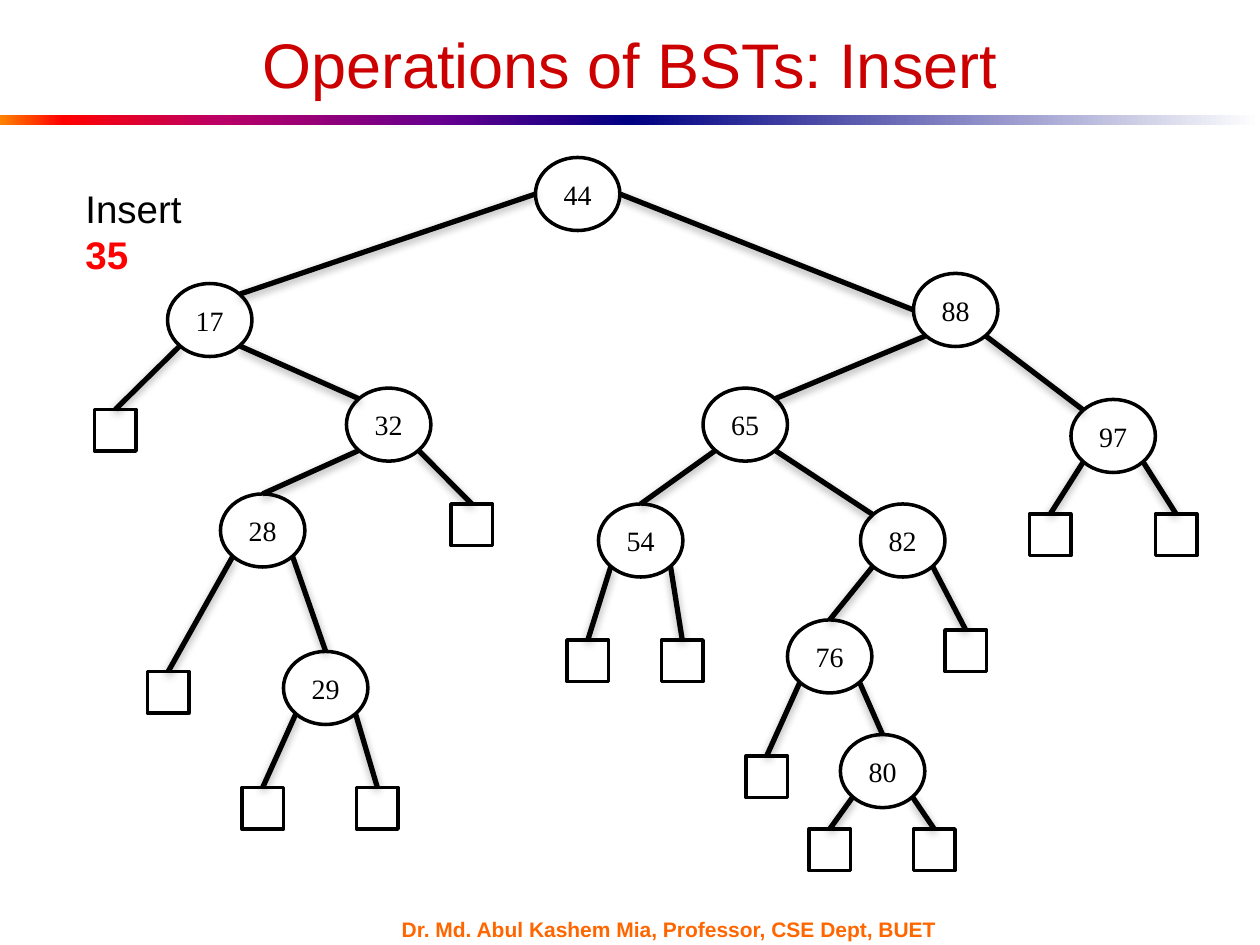
"""Build a slide showing a binary search tree before inserting a key."""
from math import sqrt

from lxml import etree
from pptx import Presentation
from pptx.dml.color import RGBColor
from pptx.enum.shapes import MSO_CONNECTOR, MSO_SHAPE
from pptx.enum.text import MSO_ANCHOR, PP_ALIGN
from pptx.oxml.ns import qn
from pptx.util import Inches, Pt

STRAIGHT = MSO_CONNECTOR.STRAIGHT
OVAL, RECTANGLE = MSO_SHAPE.OVAL, MSO_SHAPE.RECTANGLE
TOP, MIDDLE = MSO_ANCHOR.TOP, MSO_ANCHOR.MIDDLE
LEFT, CENTER = PP_ALIGN.LEFT, PP_ALIGN.CENTER

COLORS = {
    "black": "000000", "white": "FFFFFF", "title": "CC0000",
    "key": "FF0000", "footer": "FF6600",
}
BARS = [
    (0, [(0, "FF8200"), (10, "FF0000"), (35, "BA0066"), (70, "66008F"), (100, "000082")]),
    (5, [(0, "000082"), (100, "FFFFFF")]),
]
TEXTS = [
    ((3.09, 7.28, 4.67, 0.18), MIDDLE, LEFT, 12,
     [("Dr. Md. Abul Kashem Mia, Professor, CSE Dept, BUET", "footer", True)]),
    ((0.58, 1.42, 1.32, 0.47), TOP, LEFT, 22,
     [("Insert ", "black", False), ("35", "key", True)]),
    ((0.5, 0.25, 9, 0.51), MIDDLE, CENTER, 36,
     [("Operations of BSTs: Insert", "title", False)]),
]
NODES = {
    "44": (4.25, 1.25), "17": (1.33, 2.25), "32": (2.75, 3.08),
    "28": (1.75, 3.92), "29": (2.25, 5.17), "88": (7.25, 2.17),
    "65": (5.58, 3.08), "97": (8.5, 3.17), "54": (4.75, 4),
    "82": (6.83, 4), "76": (6.25, 4.92), "80": (6.67, 5.83),
}
BRANCHES = [
    ("44", "left", "17", "top right"), ("17", "bottom right", "32", "top left"),
    ("32", "bottom left", "28", "top"), ("28", "bottom right", "29", "top"),
    ("44", "right", "88", "left"), ("88", "bottom left", "65", "top right"),
    ("88", "bottom right", "97", "top left"), ("65", "bottom right", "82", "top left"),
    ("65", "bottom left", "54", "top"), ("82", "bottom left", "76", "top"),
    ("76", "bottom right", "80", "top"),
]
LEAVES = [
    ("17", "bottom left", 0.75, 3.25), ("32", "bottom right", 3.58, 4),
    ("28", "bottom left", 1.17, 5.33), ("29", "bottom left", 1.92, 6.25),
    ("29", "bottom right", 2.83, 6.25), ("54", "bottom left", 4.5, 5.08),
    ("54", "bottom right", 5.25, 5.08), ("97", "bottom left", 8.17, 4.08),
    ("97", "bottom right", 9.17, 4.08), ("76", "bottom left", 5.92, 6),
    ("82", "bottom right", 7.5, 5), ("80", "bottom left", 6.42, 6.58),
    ("80", "bottom right", 7.25, 6.58),
]
NODE_SIZE = (0.67, 0.58)
LEAF_SIZE = (0.33, 0.33)
DIRECTIONS = {"left": (-1, 0), "right": (1, 0), "top": (0, -1), "bottom": (0, 1)}


def rgb(name):
    return RGBColor.from_string(COLORS[name])


def add_run(paragraph, text, size, font, color, bold=False):
    run = paragraph.add_run()
    run.text = text
    run.font.size = Pt(size)
    run.font.name = font
    run.font.bold = bold
    run.font.color.rgb = rgb(color)


def add_bar(slide, left, stops):
    shape = slide.shapes.add_shape(
        RECTANGLE, Inches(left), Inches(0.91), Inches(5), Inches(0.08))
    shape.shadow.inherit = False
    shape.line.fill.background()
    shape.fill.gradient()
    shape.fill.gradient_angle = 0
    stop_list = shape._element.spPr.find(qn("a:gradFill")).find(qn("a:gsLst"))
    for stop in list(stop_list):
        stop_list.remove(stop)
    for position, color in stops:
        stop = etree.SubElement(stop_list, qn("a:gs"), pos=str(position * 1000))
        etree.SubElement(stop, qn("a:srgbClr"), val=color)


def add_text(slide, box, anchor, alignment, size, runs):
    frame = slide.shapes.add_textbox(*map(Inches, box)).text_frame
    frame.word_wrap = True
    frame.vertical_anchor = anchor
    paragraph = frame.paragraphs[0]
    paragraph.alignment = alignment
    for text, color, bold in runs:
        add_run(paragraph, text, size, "Arial", color, bold)


def add_outlined(slide, kind, position, size):
    shape = slide.shapes.add_shape(kind, *map(Inches, position + size))
    shape.shadow.inherit = False
    shape.fill.solid()
    shape.fill.fore_color.rgb = rgb("white")
    shape.line.color.rgb = rgb("black")
    shape.line.width = Pt(2)
    return shape


def add_node(slide, label, position):
    shape = add_outlined(slide, OVAL, position, NODE_SIZE)
    shape.text_frame.vertical_anchor = MIDDLE
    paragraph = shape.text_frame.paragraphs[0]
    paragraph.alignment = CENTER
    add_run(paragraph, label, 16, "Times New Roman", "black")
    return shape


def edge_point(shape, spot):
    parts = [DIRECTIONS[word] for word in spot.split()]
    across, down = (sum(axis) / sqrt(len(parts)) for axis in zip(*parts))
    return (round(shape.left + shape.width / 2 * (1 + across)),
            round(shape.top + shape.height / 2 * (1 + down)))


def add_branch(slide, parent, parent_spot, child, child_spot):
    line = slide.shapes.add_connector(
        STRAIGHT, *edge_point(parent, parent_spot), *edge_point(child, child_spot))
    line.line.color.rgb = rgb("black")
    line.line.width = Pt(3)
    effects = etree.SubElement(line._element.spPr, qn("a:effectLst"))
    shadow = etree.SubElement(
        effects, qn("a:outerShdw"), blurRad=str(Pt(5)), dist=str(Pt(1.8)),
        dir="5400000", rotWithShape="0")
    color = etree.SubElement(shadow, qn("a:srgbClr"), val=COLORS["black"])
    etree.SubElement(color, qn("a:alpha"), val="35000")
    if child_spot == "top":
        line.end_connect(child, 0)


def main():
    presentation = Presentation()
    presentation.slide_width, presentation.slide_height = Inches(10), Inches(7.5)
    slide = presentation.slides.add_slide(presentation.slide_layouts[6])
    for left, stops in BARS:
        add_bar(slide, left, stops)
    nodes = {label: add_node(slide, label, position) for label, position in NODES.items()}
    for parent, parent_spot, child, child_spot in BRANCHES:
        add_branch(slide, nodes[parent], parent_spot, nodes[child], child_spot)
    for parent, parent_spot, left, top in LEAVES:
        leaf = add_outlined(slide, RECTANGLE, (left, top), LEAF_SIZE)
        add_branch(slide, nodes[parent], parent_spot, leaf, "top")
    for text in TEXTS:
        add_text(slide, *text)
    presentation.save("out.pptx")


if __name__ == "__main__":
    main()
